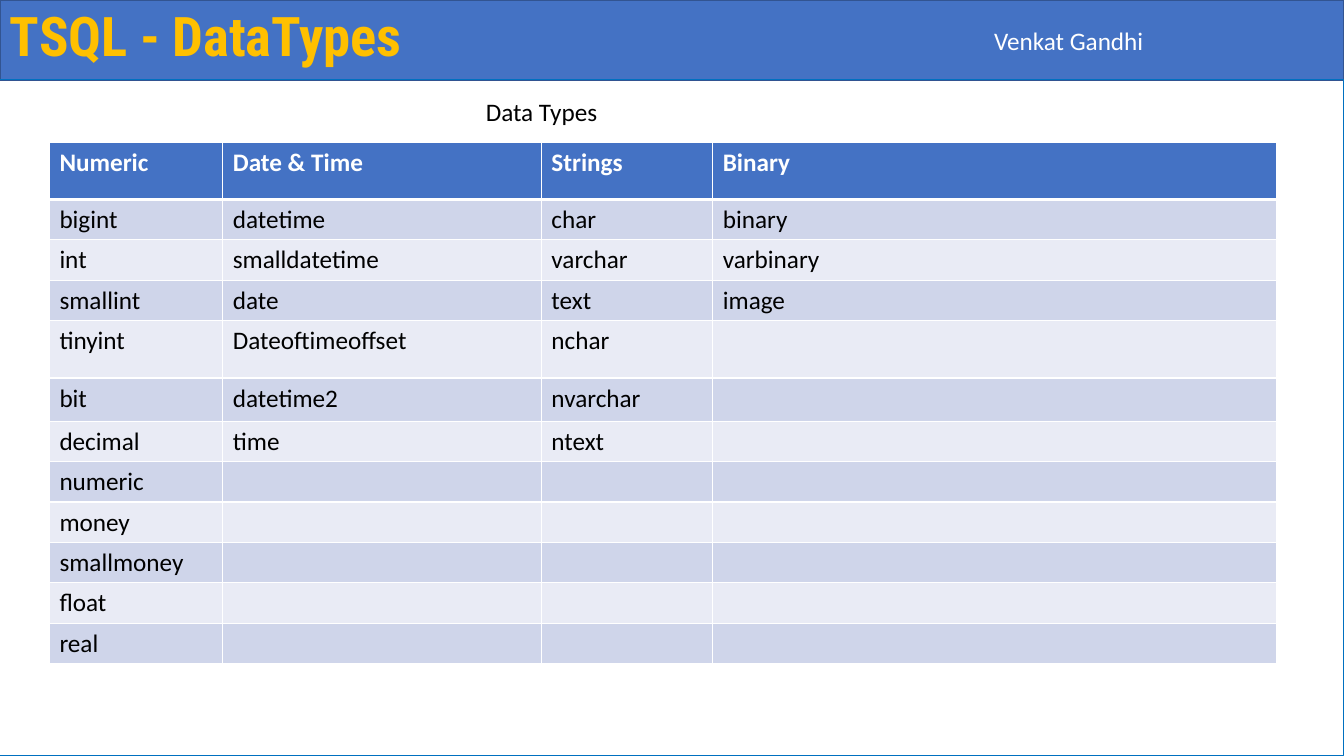
from itertools import zip_longest

from lxml import etree
from pptx import Presentation
from pptx import util as u
from pptx.dml.color import RGBColor
from pptx.enum import shapes, text
from pptx.oxml import ns

TITLE = "TSQL - DataTypes"
AUTHOR = "Venkat Gandhi"
CAPTION = "Data Types"
DATA_TYPES = {
    "Numeric": ["bigint", "int", "smallint", "tinyint", "bit", "decimal",
                "numeric", "money", "smallmoney", "float", "real"],
    "Date & Time": ["datetime", "smalldatetime", "date", "Dateoftimeoffset",
                    "datetime2", "time"],
    "Strings": ["char", "varchar", "text", "nchar", "nvarchar", "ntext"],
    "Binary": ["binary", "varbinary", "image"],
}
COLUMN_WIDTHS = [1.72, 3.16, 1.7, 5.59]
ROW_HEIGHT = 0.4
TALL_ROWS = {0: 0.57, 4: 0.57, 5: 0.43}
BLUE, WHITE, BLACK, GOLD = "4472C4", "FFFFFF", "000000", "FFC000"
BANDS = ["E9EBF5", "CFD5EA"]
WIDTH, HEIGHT, BAR_HEIGHT = 13.33, 7.5, 0.8


def color(value):
    return RGBColor.from_string(value)


def write(frame, words, ink, size=18, font="Calibri", bold=False):
    frame.text = words
    para = frame.paragraphs[0]
    para.alignment = text.PP_ALIGN.LEFT
    para.font.size = u.Pt(size)
    for span in para.runs:
        span.font.size = u.Pt(size)
        span.font.name = font
        span.font.bold = bold
        span.font.color.rgb = color(ink)
    return para


def add_rectangle(top, height, line, weight, fill=None):
    box = page.shapes.add_shape(shapes.MSO_SHAPE.RECTANGLE, 0, u.Inches(top),
                                u.Inches(WIDTH), u.Inches(height))
    box.shadow.inherit = False
    if fill:
        box.fill.solid()
        box.fill.fore_color.rgb = color(fill)
    else:
        box.fill.background()
    box.line.color.rgb = color(line)
    box.line.width = u.Pt(weight)
    return box


def add_text_frame(left, top, width, height):
    box = page.shapes.add_textbox(*map(u.Inches, (left, top, width, height)))
    box.text_frame.word_wrap = True
    return box.text_frame


def add_border(cell, side, weight):
    line = etree.SubElement(cell._tc.get_or_add_tcPr(), ns.qn("a:ln" + side),
                            w=str(u.Pt(weight)))
    fill = etree.SubElement(line, ns.qn("a:solidFill"))
    etree.SubElement(fill, ns.qn("a:srgbClr"), val=WHITE)


deck = Presentation()
deck.slide_width, deck.slide_height = u.Inches(WIDTH), u.Inches(HEIGHT)
page = deck.slides.add_slide(deck.slide_layouts[6])

bar = add_rectangle(0, BAR_HEIGHT, "325491", 1, BLUE).text_frame
bar.margin_left = u.Inches(9.86)
bar.vertical_anchor = text.MSO_ANCHOR.MIDDLE
write(bar, AUTHOR, WHITE)

heading = add_text_frame(0, -0.01, WIDTH, BAR_HEIGHT)
heading.margin_top = heading.margin_bottom = u.Inches(0.1)
write(heading, TITLE, GOLD, 39, "Roboto Condensed", True).line_spacing = 0.9

add_rectangle(0.79, HEIGHT - 0.79, "0070C0", 0.75)
write(add_text_frame(4.72, 0.91, 1.33, 0.4), CAPTION, BLACK)

rows = [list(DATA_TYPES), *zip_longest(*DATA_TYPES.values(), fillvalue="")]
heights = [TALL_ROWS.get(index, ROW_HEIGHT) for index in range(len(rows))]
table = page.shapes.add_table(
    len(rows), len(COLUMN_WIDTHS), u.Inches(0.49), u.Inches(1.41),
    u.Inches(sum(COLUMN_WIDTHS)), u.Inches(sum(heights))).table
for column, width in zip(table.columns, COLUMN_WIDTHS):
    column.width = u.Inches(width)
for index, (row, height, words) in enumerate(zip(table.rows, heights, rows)):
    header = index == 0
    row.height = u.Inches(height)
    for cell, word in zip(row.cells, words):
        write(cell.text_frame, word, WHITE if header else BLACK, bold=header)
        for side in "LRTB":
            thick = (header and side == "B") or (index == 1 and side == "T")
            add_border(cell, side, 3 if thick else 1)
        cell.fill.solid()
        cell.fill.fore_color.rgb = color(BLUE if header else BANDS[index % 2])

deck.save("out.pptx")
